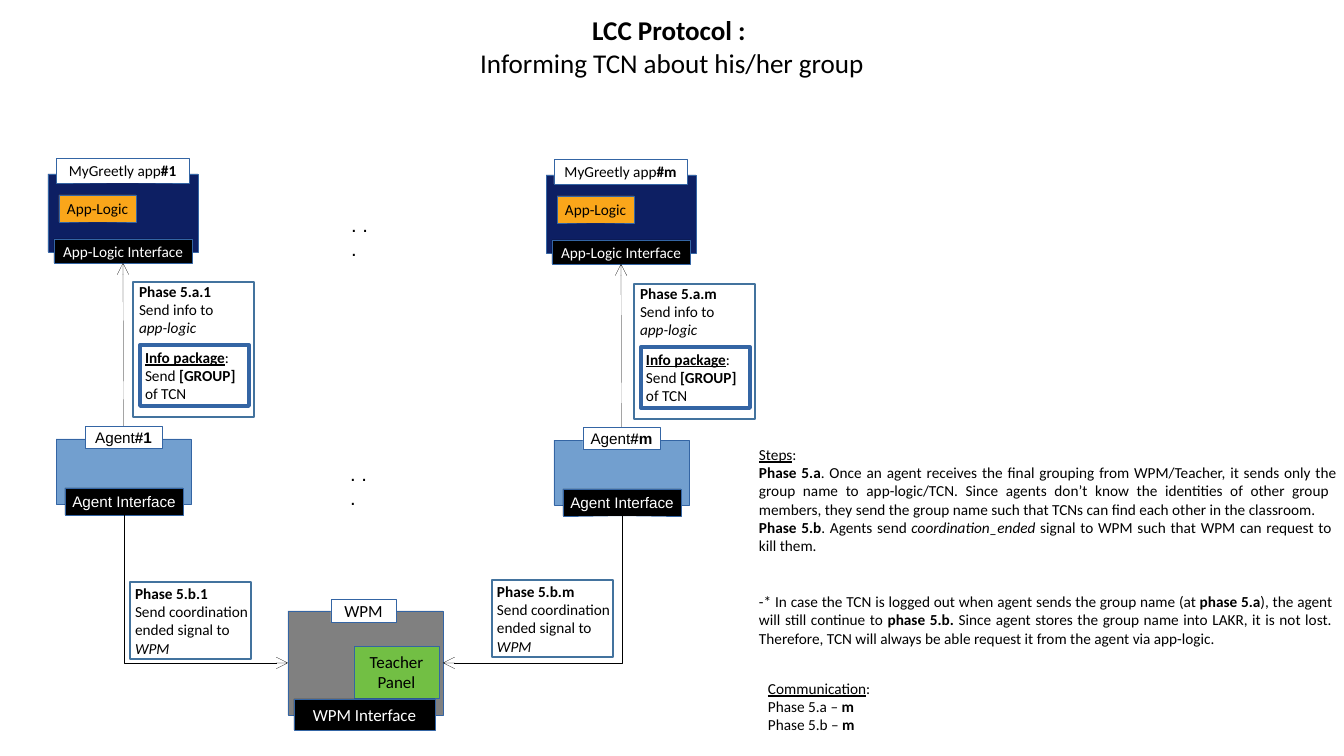
from dataclasses import dataclass

from lxml import etree
from pptx import Presentation
from pptx import util as u
from pptx.dml.color import RGBColor
from pptx.enum import shapes, text
from pptx.oxml.ns import qn

# Content: a run is (words, style), with style letters b, i, u
TITLE = [[("LCC Protocol : \n", "b"), ("Informing TCN about his/her group", "")]]
INFO = [[("Info package", "bu"), (":\nSend ", ""), ("[GROUP]\n", "b"), ("of TCN", "")]]
STEPS = [
    [("Steps", "u"), (":", "")],
    [("Phase 5.a", "b"),
     (". Once an agent receives the final grouping from WPM/Teacher, it sends only the\n"
      "group name to app-logic/TCN. Since agents don’t know the identities of other group \n"
      "members, they send the group name such that TCNs can find each other in the classroom. ", "")],
    [("Phase 5.b", "b"), (". Agents send ", ""), ("coordination_ended ", "i"),
     ("signal to WPM such that WPM can request to \nkill them. ", "")],
    [("-* In case the TCN is logged out when agent sends the group name (at ", ""),
     ("phase 5.a", "b"), ("), the agent \nwill still continue to ", ""), ("phase 5.b. ", "b"),
     ("Since agent stores the group name into LAKR, it is not lost. \n"
      "Therefore, TCN will always be able request it from the agent via app-logic. ", "")],
]
COMMUNICATION = [
    [("Communication", "u"), (":", "")],
    [("Phase 5.a – ", ""), ("m", "b")],
    [("Phase 5.b – ", ""), ("m", "b")],
]
DOTS = [[(". . .", "")]]

# Each column: tag, shift of its boxes, corners of its two phase notes, side of WPM it joins
COLUMNS = [
    dict(tag="1", shift=(0, 0), phase_a=(133, 282), phase_b=(130, 582), wpm_side=1),
    dict(tag="m", shift=(498, 1), phase_a=(634, 284), phase_b=(492, 580), wpm_side=3),
]


@dataclass(frozen=True)
class Theme:
    font: str = "Calibri"
    agent_font: str = "Arial"
    title: int = 16
    dots: int = 12
    wpm: int = 10
    body: int = 9
    hairline: float = 0.1
    black: str = "000000"
    white: str = "FFFFFF"
    navy: str = "0D1F63"
    orange: str = "FAA61A"
    blue: str = "729FCF"
    grey: str = "808080"
    green: str = "72BF44"
    outline: str = "3465A4"
    frame: str = "43739E"


T = Theme()
CENTER, LEFT, JUSTIFY = text.PP_ALIGN.CENTER, text.PP_ALIGN.LEFT, text.PP_ALIGN.JUSTIFY
MIDDLE, TOP = text.MSO_ANCHOR.MIDDLE, text.MSO_ANCHOR.TOP


def px(n):
    return u.Emu(round(n * 914400 / 122))


def write(sp, paragraphs, size=T.body, font=T.font, color=T.black, align=CENTER,
          anchor=MIDDLE, inset=(0, 0), wrap=False):
    """Fill a shape with styled paragraphs; inset is (left, top) in px."""
    tf = sp.text_frame
    tf.word_wrap, tf.vertical_anchor = wrap, anchor
    tf.auto_size = text.MSO_AUTO_SIZE.NONE
    tf.margin_left, tf.margin_top = map(px, inset)
    tf.margin_right = tf.margin_bottom = 0
    for i, runs in enumerate(paragraphs):
        p = tf.add_paragraph() if i else tf.paragraphs[0]
        p.alignment = align
        p.font.size, p.font.name = u.Pt(size), font
        p.font.color.rgb = RGBColor.from_string(color)
        for words, style in runs:
            for j, line in enumerate(words.split("\n")):
                if j:
                    p.add_line_break()
                if line:
                    r = p.add_run()
                    r.text = line
                    r.font.bold = "b" in style
                    r.font.italic = "i" in style
                    r.font.underline = "u" in style
    return tf


def box(at, fill=None, line=T.outline, width=T.hairline, paragraphs=(), **style):
    sp = s.shapes.add_shape(shapes.MSO_SHAPE.RECTANGLE, *map(px, at))
    sp.shadow.inherit = False
    if fill:
        sp.fill.solid()
        sp.fill.fore_color.rgb = RGBColor.from_string(fill)
    else:
        sp.fill.background()
    sp.line.color.rgb = RGBColor.from_string(line)
    sp.line.width = u.Pt(width)
    if paragraphs:
        write(sp, paragraphs, **style)
    return sp


def note(at, paragraphs, **style):
    return write(s.shapes.add_textbox(*map(px, at)), paragraphs, anchor=TOP, wrap=True, **style)


def arrow(head, head_side, tail, tail_side, elbow=False):
    """Join two boxes, with an open arrowhead at the first."""
    kind = shapes.MSO_CONNECTOR.ELBOW if elbow else shapes.MSO_CONNECTOR.STRAIGHT
    c = s.shapes.add_connector(kind, 0, 0, 0, 0)
    c.begin_connect(head, head_side)
    c.end_connect(tail, tail_side)
    c.line.color.rgb = RGBColor.from_string(T.black)
    c.line.width = u.Pt(T.hairline)
    sp_pr = c._element.spPr
    if elbow:
        sp_pr.find(qn("a:prstGeom")).set("prst", "bentConnector2")
    etree.SubElement(sp_pr.find(qn("a:ln")), qn("a:headEnd"), type="arrow")
    etree.SubElement(sp_pr, qn("a:effectLst"))


def draw_column(tag, shift, phase_a, phase_b, wpm_side):
    def part(x, y, w, h, fill, *runs, **style):
        at = (x + shift[0], y + shift[1], w, h)
        return box(at, fill, paragraphs=[runs] if runs else (), **style)

    part(48, 174, 150, 78, T.navy)
    part(56, 158, 133, 25, T.white, ("MyGreetly app", ""), (f"#{tag}", "b"))
    part(59, 195, 77, 27, T.orange, ("App-Logic", ""))
    app = part(54, 239, 138, 24, T.black, ("App-Logic Interface", ""), color=T.white)
    part(56, 439, 135, 65, T.blue)
    agent = part(85, 426, 77, 22, T.white, ("Agent", ""), (f"#{tag}", "b"), font=T.agent_font)
    interface = part(65, 488, 118, 27, T.black, ("Agent Interface", ""),
                     color=T.white, font=T.agent_font)
    arrow(app, 2, agent, 0)
    arrow(wpm, wpm_side, interface, 2, elbow=True)

    lines = dict(align=LEFT, anchor=TOP, wrap=True)
    x, y = phase_a
    box((x, y, 121, 135), line=T.frame, width=1, inset=(6, 0), **lines, paragraphs=[
        [(f"Phase 5.a.{tag}\n", "b"), ("Send info to\n", ""), ("app-logic", "i")]])
    box((x + 7, y + 63, 109, 61), T.white, width=2.3, inset=(5, 3), **lines, paragraphs=INFO)
    box((*phase_b, 121, 77), line=T.frame, width=1, inset=(5, 2), **lines, paragraphs=[
        [(f"Phase 5.b.{tag}\n", "b"), ("Send coordination\nended signal to\n", ""),
         ("WPM", "i")]])


prs = Presentation()
prs.slide_width, prs.slide_height = px(1344), px(756)
s = prs.slides.add_slide(prs.slide_layouts[5])

title = s.shapes.title
title.left, title.top, title.width, title.height = map(px, (67, 12, 1210, 68))
write(title, TITLE, size=T.title, wrap=True)

wpm = box((288, 611, 155, 104), T.grey)
for at, fill, words, color in [
    ((331, 599, 65, 23), T.white, "WPM", T.black),
    ((354, 646, 85, 52), T.green, "Teacher\nPanel", T.black),
    ((294, 699, 141, 31), T.black, "WPM Interface", T.white),
]:
    box(at, fill, paragraphs=[[(words, "")]], size=T.wpm, color=color)

for column in COLUMNS:
    draw_column(**column)

for x, y in [(351, 212), (350, 461)]:
    note((x, y, 26, 48), DOTS, size=T.dots, font=T.agent_font, align=LEFT)

steps = note((759, 445, 577, 205), STEPS, align=JUSTIFY)
steps.paragraphs[-1].space_before = u.Pt(22)
note((768, 679, 120, 56), COMMUNICATION, align=LEFT)

prs.save("out.pptx")
